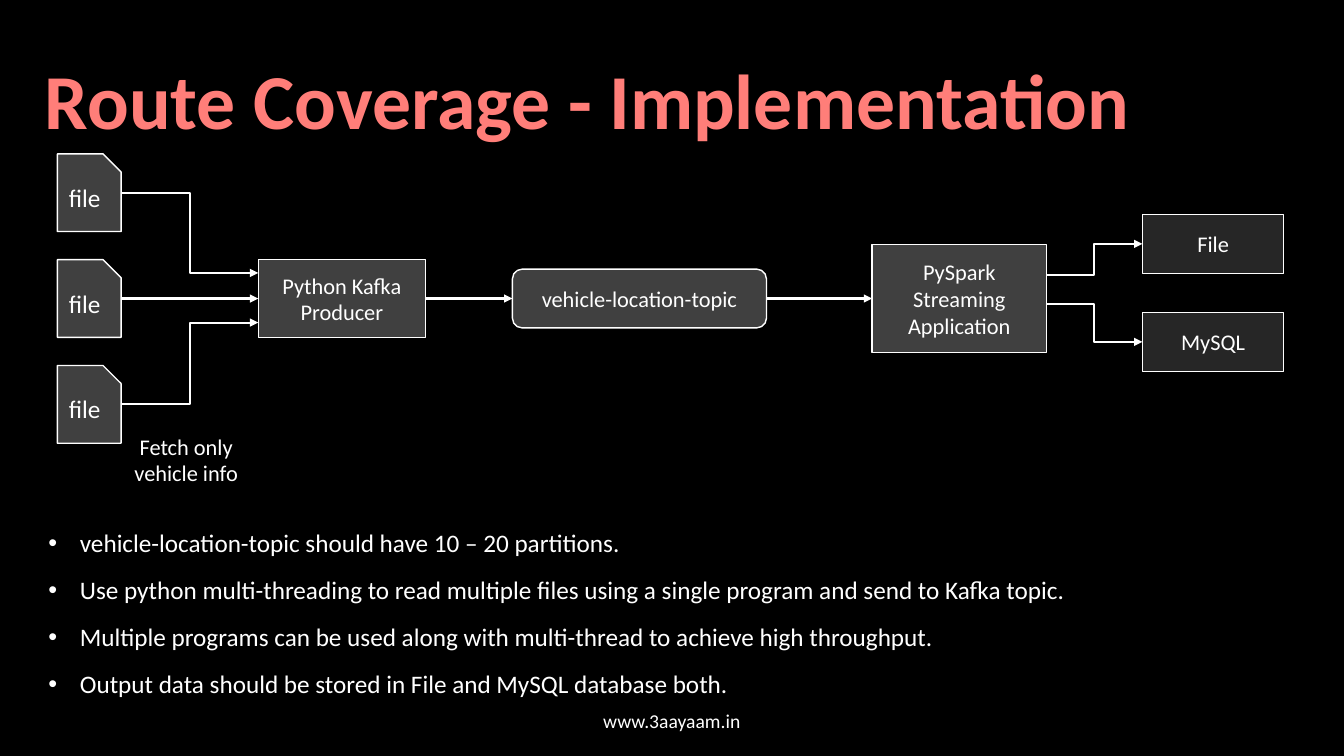
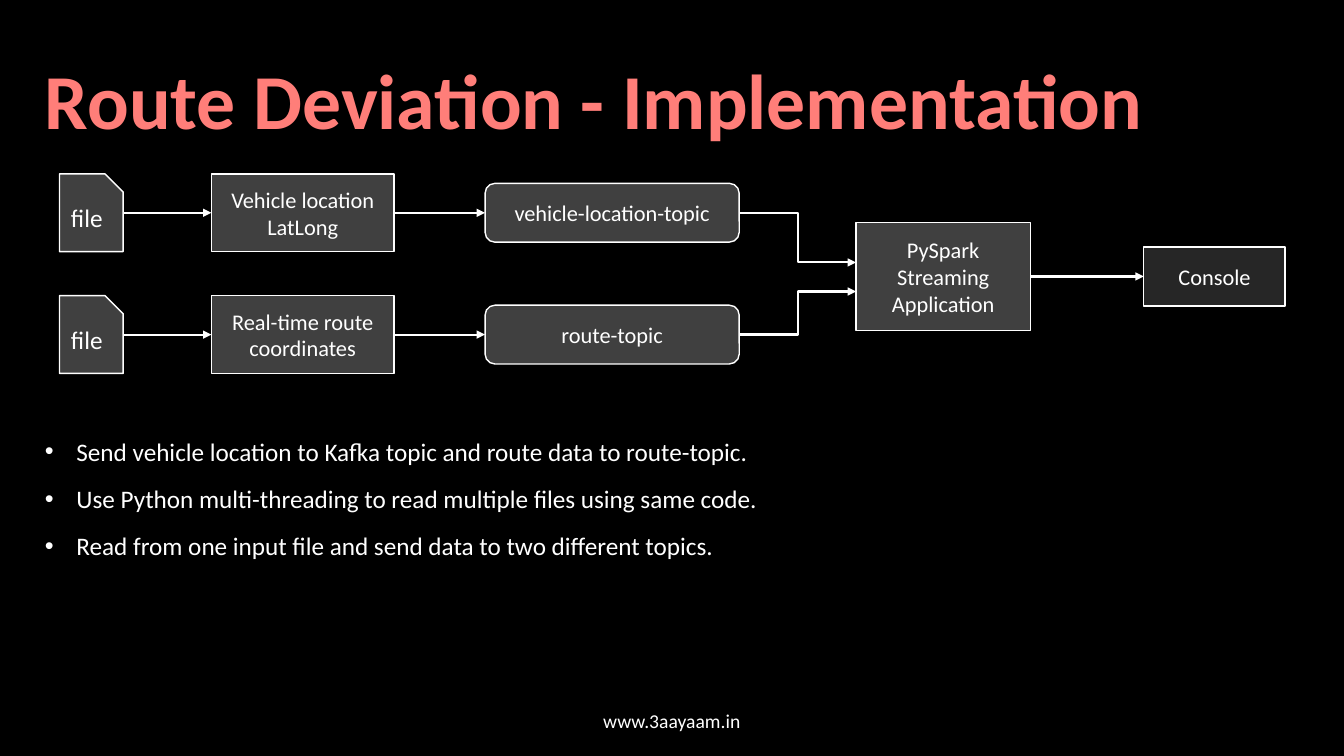
from dataclasses import dataclass

from lxml import etree
from pptx import Presentation
from pptx.dml.color import RGBColor
from pptx.enum.shapes import MSO_CONNECTOR, MSO_SHAPE
from pptx.enum.text import MSO_ANCHOR, PP_ALIGN
from pptx.oxml.ns import qn
from pptx.util import Pt

RECT = MSO_SHAPE.RECTANGLE
ROUNDED = MSO_SHAPE.ROUNDED_RECTANGLE
SNIPPED = MSO_SHAPE.SNIP_1_RECTANGLE
STRAIGHT, ELBOW = MSO_CONNECTOR.STRAIGHT, MSO_CONNECTOR.ELBOW
LEFT, CENTER = PP_ALIGN.LEFT, PP_ALIGN.CENTER
TOP, MIDDLE = MSO_ANCHOR.TOP, MSO_ANCHOR.MIDDLE
LEFT_SITE, RIGHT_SITE = 1, 3


@dataclass(frozen=True)
class Theme:
    font: str = "Calibri"
    background: RGBColor = RGBColor(0x00, 0x00, 0x00)
    text: RGBColor = RGBColor(0xFF, 0xFF, 0xFF)
    title_start: RGBColor = RGBColor(0xFF, 0x7E, 0x79)
    title_end: RGBColor = RGBColor(0x00, 0x96, 0xFF)
    title_angle: int = 130
    step_fill: RGBColor = RGBColor(0x40, 0x40, 0x40)
    sink_fill: RGBColor = RGBColor(0x26, 0x26, 0x26)
    title_size: float = 55.5
    body_size: float = 18
    label_size: float = 16
    footer_size: float = 14
    outline: float = 1
    arrow: float = 1.5
    bullet_indent: float = 22.5
    paragraph_gap: float = 6


@dataclass(frozen=True)
class Box:
    left: float
    top: float
    width: float
    height: float

    @property
    def middle(self):
        return self.top + self.height / 2

    def lengths(self):
        return [Pt(v) for v in (self.left, self.top, self.width, self.height)]


@dataclass(frozen=True)
class NodeStyle:
    preset: int
    width: float
    height: float
    fill: RGBColor
    size: float


THEME = Theme()
FILE = NodeStyle(SNIPPED, 45.5, 55.5, THEME.step_fill, THEME.body_size)
PRODUCER = NodeStyle(RECT, 119.5, 55.5, THEME.step_fill, THEME.label_size)
FEED = NodeStyle(RECT, 130.5, 55.5, THEME.step_fill, THEME.label_size)
TOPIC = NodeStyle(ROUNDED, 181.5, 42, THEME.step_fill, THEME.label_size)
STREAMING = NodeStyle(RECT, 124.5, 77, THEME.step_fill, THEME.label_size)
SINK = NodeStyle(RECT, 101, 42, THEME.sink_fill, THEME.label_size)

SLIDE_WIDTH, SLIDE_HEIGHT = 960, 540
TITLE_BOX = Box(25, 26, 916, 88.5)
FOOTER_BOX = Box(318, 500.5, 324, 29)
FOOTER = "www.3aayaam.in"
STREAMING_LABEL = "PySpark Streaming Application"


def format_text(paragraph, size, align=LEFT, bold=False):
    paragraph.alignment = align
    for run in paragraph.runs:
        run.font.name = THEME.font
        run.font.size = Pt(size)
        run.font.bold = bold
        run.font.color.rgb = THEME.text


def add_text(slide, box, text, size, align=LEFT, anchor=TOP, bold=False):
    """Add a wrapped text box and return its text frame."""
    frame = slide.shapes.add_textbox(*box.lengths()).text_frame
    frame.word_wrap = True
    frame.vertical_anchor = anchor
    frame.text = text
    for paragraph in frame.paragraphs:
        format_text(paragraph, size, align, bold)
    return frame


def add_title(slide, box, title):
    frame = add_text(slide, box, title, THEME.title_size, anchor=MIDDLE, bold=True)
    fill = frame.paragraphs[0].runs[0].font.fill
    fill.gradient()
    fill.gradient_angle = THEME.title_angle
    colours = (THEME.title_start, THEME.title_end)
    for position, (stop, colour) in enumerate(zip(fill.gradient_stops, colours)):
        stop.position = position
        stop.color.rgb = colour


def add_bullets(slide, box, points):
    frame = add_text(slide, box, "\n".join(points), THEME.body_size)
    for number, paragraph in enumerate(frame.paragraphs):
        properties = paragraph._p.get_or_add_pPr()
        properties.set("marL", str(Pt(THEME.bullet_indent)))
        properties.set("indent", str(-Pt(THEME.bullet_indent)))
        etree.SubElement(properties, qn("a:buFont"), typeface="Arial")
        etree.SubElement(properties, qn("a:buChar"), char="•")
        paragraph.space_before = Pt(THEME.paragraph_gap if number else 0)
        paragraph.space_after = Pt(THEME.paragraph_gap)


def add_node(slide, style, label, left, middle):
    """Add a labelled diagram node, centred vertically on middle."""
    box = Box(left, middle - style.height / 2, style.width, style.height)
    node = slide.shapes.add_shape(style.preset, *box.lengths())
    node.shadow.inherit = False
    node.fill.solid()
    node.fill.fore_color.rgb = style.fill
    node.line.color.rgb = THEME.text
    node.line.width = Pt(THEME.outline)
    if style.preset == SNIPPED:
        node.adjustments[0] = 0.284
    frame = node.text_frame
    frame.word_wrap = True
    frame.vertical_anchor = MIDDLE
    frame.text = label
    format_text(frame.paragraphs[0], style.size, CENTER)
    return node


def connect(slide, source, target, leave=0.5, enter=0.5):
    """Draw an arrow; leave and enter are fractions of the nodes' heights."""
    straight = leave == enter == 0.5
    arrow = slide.shapes.add_connector(
        STRAIGHT if straight else ELBOW,
        source.left + source.width,
        source.top + round(source.height * leave),
        target.left,
        target.top + round(target.height * enter),
    )
    if straight:
        arrow.begin_connect(source, RIGHT_SITE)
        arrow.end_connect(target, LEFT_SITE)
    arrow.line.color.rgb = THEME.text
    arrow.line.width = Pt(THEME.arrow)
    etree.SubElement(arrow.line._get_or_add_ln(), qn("a:tailEnd"), type="triangle")
    etree.SubElement(arrow._element.spPr, qn("a:effectLst"))


def draw_coverage(slide, box):
    """Three files into one producer and topic, then on to two sinks."""
    middle, file_pitch, sink_pitch = box.middle, 75.6, 70
    producer = add_node(slide, PRODUCER, "Python Kafka Producer", box.left + 143.5, middle)
    topic = add_node(slide, TOPIC, "vehicle-location-topic", box.left + 325, middle)
    streaming = add_node(slide, STREAMING, STREAMING_LABEL, box.left + 582, middle)
    connect(slide, producer, topic)
    connect(slide, topic, streaming)

    for row, enter in zip((-1, 0, 1), (0.17, 0.5, 0.81)):
        source = add_node(slide, FILE, "file", box.left, middle + row * file_pitch)
        connect(slide, source, producer, enter=enter)

    sinks = (("File", -0.5, 0.28), ("MySQL", 0.5, 0.55))
    for label, row, leave in sinks:
        sink = add_node(slide, SINK, label, box.left + box.width - SINK.width,
                        middle - 4 + row * sink_pitch)
        connect(slide, streaming, sink, leave=leave)

    caption = Box(box.left + 41, box.top + 195.5, 102, 46)
    add_text(slide, caption, "Fetch only vehicle info", THEME.label_size, CENTER)


def draw_deviation(slide, box):
    """Two parallel feeds joined by one streaming application."""
    middle, row_pitch = box.middle, 87
    streaming = add_node(slide, STREAMING, STREAMING_LABEL, box.left + 569, middle + 2)
    console = add_node(slide, SINK, "Console",
                       box.left + box.width - SINK.width, middle + 2)
    connect(slide, streaming, console)

    feeds = (
        ("Vehicle location LatLong", "vehicle-location-topic", -0.5, 0.37),
        ("Real-time route coordinates", "route-topic", 0.5, 0.64),
    )
    for feed_label, topic_label, row, enter in feeds:
        row_middle = middle + row * row_pitch
        source = add_node(slide, FILE, "file", box.left, row_middle)
        feed = add_node(slide, FEED, feed_label, box.left + 108.5, row_middle)
        topic = add_node(slide, TOPIC, topic_label, box.left + 304, row_middle)
        connect(slide, source, feed)
        connect(slide, feed, topic)
        connect(slide, topic, streaming, enter=enter)


def add_implementation_slide(deck, title, draw_diagram, diagram_box, bullet_box, points):
    slide = deck.slides.add_slide(deck.slide_layouts[6])
    slide.background.fill.solid()
    slide.background.fill.fore_color.rgb = THEME.background
    add_text(slide, FOOTER_BOX, FOOTER, THEME.footer_size, CENTER, MIDDLE)
    add_title(slide, TITLE_BOX, title)
    draw_diagram(slide, diagram_box)
    add_bullets(slide, bullet_box, points)


def main():
    deck = Presentation()
    deck.slide_width, deck.slide_height = Pt(SLIDE_WIDTH), Pt(SLIDE_HEIGHT)
    add_implementation_slide(
        deck, "Route Coverage - Implementation",
        draw_coverage, Box(41, 110, 876, 206.5), Box(27.5, 373, 905, 131),
        (
            "vehicle-location-topic should have 10 – 20 partitions.",
            "Use python multi-threading to read multiple files using a single "
            "program and send to Kafka topic.",
            "Multiple programs can be used along with multi-thread to achieve "
            "high throughput.",
            "Output data should be stored in File and MySQL database both.",
        ),
    )
    add_implementation_slide(
        deck, "Route Deviation - Implementation",
        draw_deviation, Box(42.5, 124.5, 875.5, 142), Box(25, 308, 905, 97),
        (
            "Send vehicle location to Kafka topic and route data to route-topic.",
            "Use Python multi-threading to read multiple files using same code.",
            "Read from one input file and send data to two different topics.",
        ),
    )
    deck.save("out.pptx")


if __name__ == "__main__":
    main()
